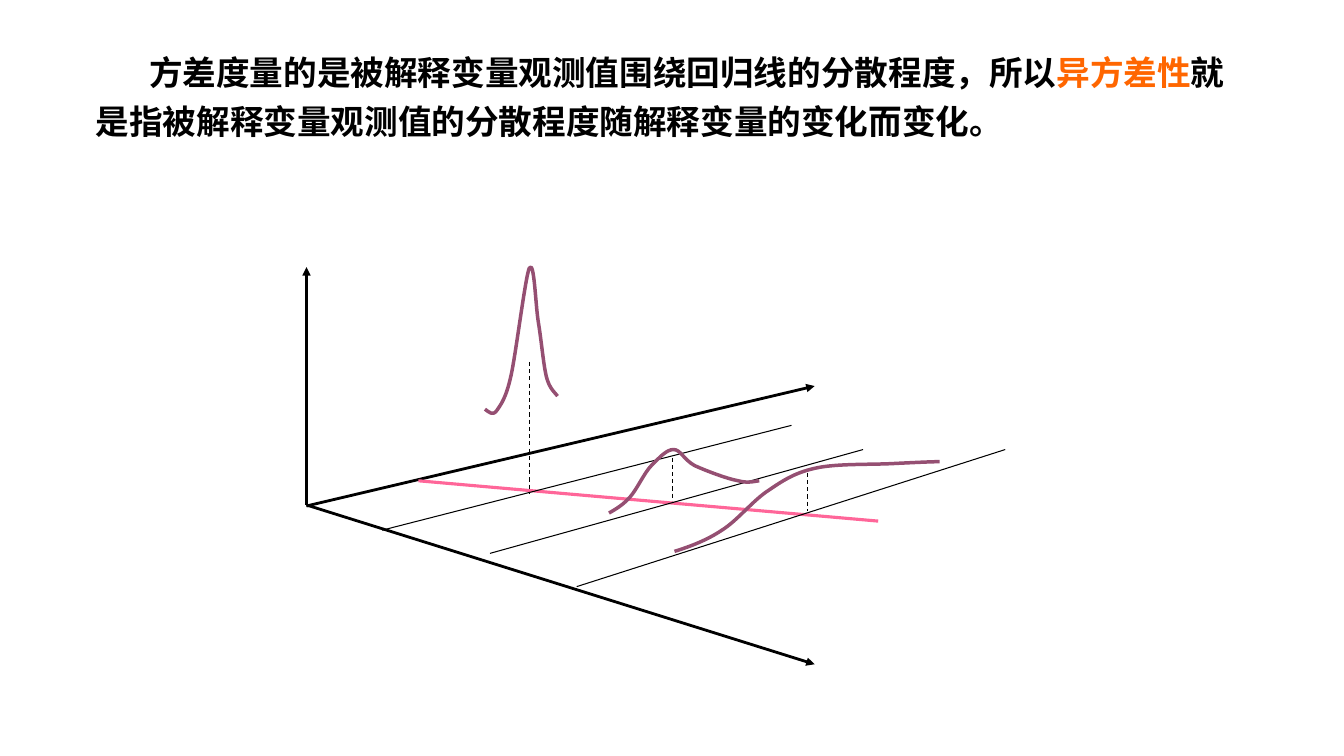
from lxml.etree import SubElement
from pptx import Presentation
from pptx.dml.color import RGBColor
from pptx.enum.dml import MSO_LINE
from pptx.enum.shapes import MSO_CONNECTOR
from pptx.oxml.ns import qn
from pptx.util import Pt

PX = 9144
BLACK = RGBColor(0x00, 0x00, 0x00)
ORANGE = RGBColor(0xFF, 0x66, 0x00)
PINK = RGBColor(0xFF, 0x66, 0x99)
PLUM = RGBColor(0x95, 0x4F, 0x72)

AXES = [
    ((304, 501), (304, 265)),
    ((304, 502), (808, 383)),
    ((304, 501), (808, 659)),
]
GUIDES = [
    ((379, 526), (785, 422)),
    ((486, 549), (856, 446)),
    ((572, 582), (997, 446)),
]
DROPS = [(525, 359, 490), (667, 454, 497), (801, 469, 507)]
BELLS = [
    [(481, 406), (485, 409), (489, 413), (493, 407), (497, 401), (502, 395),
     (507, 372), (512, 349), (521, 275), (525, 266), (530, 257), (531, 302),
     (534, 320), (537, 338), (539, 362), (542, 374), (545, 386), (551, 390),
     (553, 393)],
    [(604, 509), (611, 505), (618, 501), (625, 493), (632, 485), (639, 469),
     (646, 462), (654, 454), (661, 446), (668, 446), (675, 446), (678, 456),
     (689, 462), (700, 467), (721, 475), (732, 477), (743, 480), (750, 477),
     (753, 477)],
    [(669, 547), (685, 542), (701, 536), (716, 526), (732, 516), (747, 496),
     (763, 486), (779, 475), (791, 468), (811, 464), (831, 460), (863, 461),
     (884, 460), (904, 459), (924, 458), (932, 458)],
]


class Deck:
    font = "Calibri"

    def __init__(self, width, height):
        self.prs = Presentation()
        self.prs.slide_width = width * PX
        self.prs.slide_height = height * PX
        self.s = self.prs.slides.add_slide(self.prs.slide_layouts[6])

    def line(self, start, end, color=BLACK, width=0.75, dashed=False, arrow=False):
        points = [v * PX for v in start + end]
        c = self.s.shapes.add_connector(MSO_CONNECTOR.STRAIGHT, *points)
        c.line.color.rgb = color
        c.line.width = Pt(width)
        if dashed:
            c.line.dash_style = MSO_LINE.DASH
        if arrow:
            SubElement(c.line._get_or_add_ln(), qn("a:tailEnd"), type="triangle")
        SubElement(c._element.spPr, qn("a:effectLst"))

    def curve(self, points, color, width):
        fb = self.s.shapes.build_freeform(*points[0], scale=PX)
        fb.add_line_segments(points[1:], close=False)
        sp = fb.convert_to_shape()
        sp.shadow.inherit = False
        sp.fill.background()
        sp.line.color.rgb = color
        sp.line.width = Pt(width)
        path = sp._element.find(".//" + qn("a:path"))
        segments = path.findall(qn("a:lnTo"))
        for i in range(0, len(segments), 3):
            bezier = SubElement(path, qn("a:cubicBezTo"))
            for segment in segments[i:i + 3]:
                bezier.append(segment[0])
                path.remove(segment)

    def text(self, x, y, w, h, runs, size, indent, spacing):
        sp = self.s.shapes.add_textbox(x * PX, y * PX, w * PX, h * PX)
        tf = sp.text_frame
        tf.word_wrap = True
        p = tf.paragraphs[0]
        p.line_spacing = spacing
        p._p.get_or_add_pPr().set("indent", str(indent * PX))
        p.font.size = Pt(size)
        p.font.bold = True
        p.font.name = self.font
        SubElement(p.font._element, qn("a:ea"), typeface=self.font)
        for content, color in runs:
            r = p.add_run()
            r.text = content
            r.font.color.rgb = color


def main():
    deck = Deck(1333, 750)
    for start, end in AXES:
        deck.line(start, end, width=2, arrow=True)
    deck.line((415, 477), (871, 517), PINK, 2.25)
    for start, end in GUIDES:
        deck.line(start, end)
    for x, top, bottom in DROPS:
        deck.line((x, top), (x, bottom), dashed=True)
    for points in BELLS:
        deck.curve(points, PLUM, 2.5)
    deck.text(85, 39, 1140, 147, [
        ("方差度量的是被解释变量观测值围绕回归线的分散程度，所以", BLACK),
        ("异方差性", ORANGE),
        ("就是指被解释变量观测值的分散程度随解释变量的变化而变化。", BLACK),
    ], size=24, indent=53, spacing=1.2)
    deck.prs.save("out.pptx")


if __name__ == "__main__":
    main()
